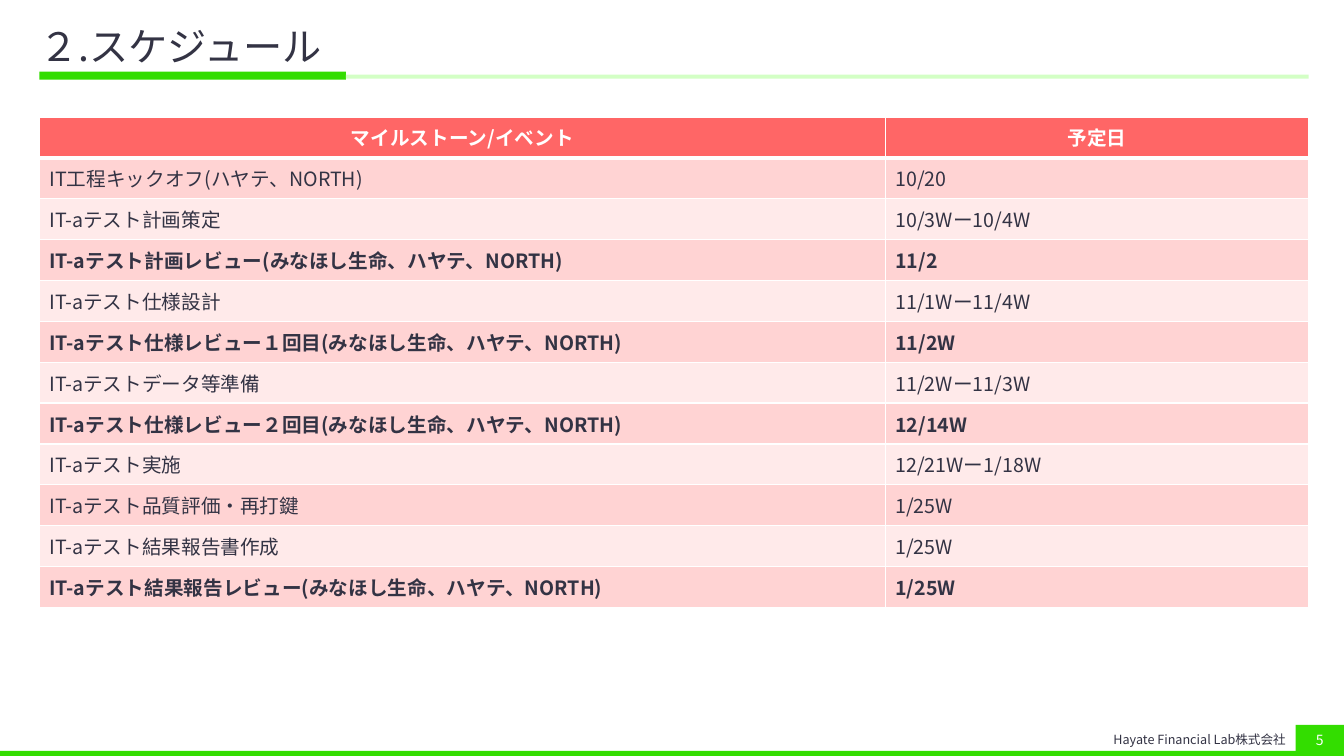
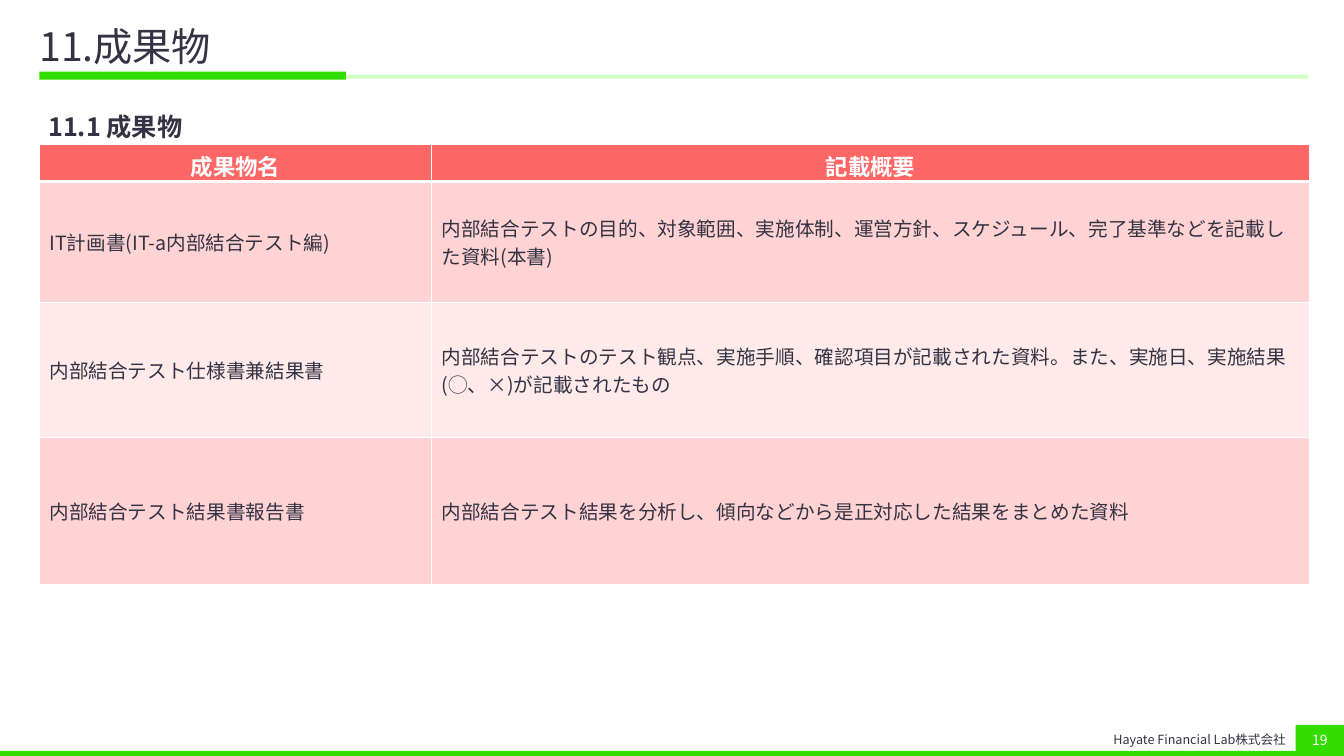
from dataclasses import dataclass
from lxml.etree import SubElement
from pptx import Presentation
from pptx.dml.color import RGBColor
from pptx.enum.shapes import MSO_SHAPE
from pptx.enum.text import MSO_ANCHOR, PP_ALIGN
from pptx.oxml.ns import qn
from pptx.util import Inches, Pt

COLORS = {
    "green": "33DD00",
    "pale_green": "D3FFC5",
    "ink": "333344",
    "white": "FFFFFF",
    "header": "FF6666",
    "odd_row": "FFD3D3",
    "even_row": "FFEAEA",
}
FONT = "Noto Sans CJK JP"
COMPANY = "Hayate Financial Lab株式会社"
REVIEWERS = "(みなほし生命、ハヤテ、NORTH)"
SLIDE_WIDTH, SLIDE_HEIGHT = 13.33, 7.5
MARGIN, CONTENT_WIDTH = 0.39, 12.6


@dataclass
class Box:
    left: float
    top: float
    width: float
    height: float

    def lengths(self):
        return [Inches(n) for n in (self.left, self.top, self.width, self.height)]


def color(name):
    return RGBColor.from_string(COLORS[name])


def write(frame, text, size, ink="ink", bold=False, align=PP_ALIGN.LEFT):
    paragraph = frame.paragraphs[0]
    paragraph.text = text
    paragraph.alignment = align
    font = paragraph.font
    font.size = Pt(size)
    font.bold = bold
    font.color.rgb = color(ink)
    font.name = FONT
    properties = paragraph._p.pPr.find(qn("a:defRPr"))
    SubElement(properties, qn("a:ea"), typeface=FONT)
    return paragraph


def add_band(slide, box, fill):
    band = slide.shapes.add_shape(MSO_SHAPE.RECTANGLE, *box.lengths())
    band.shadow.inherit = False
    band.fill.solid()
    band.fill.fore_color.rgb = color(fill)
    band.line.fill.background()
    return band


def add_text(slide, box, text, size, anchor=MSO_ANCHOR.MIDDLE, **style):
    frame = slide.shapes.add_textbox(*box.lengths()).text_frame
    frame.word_wrap = True
    frame.vertical_anchor = anchor
    return frame, write(frame, text, size, **style)


def add_title(slide, box, title):
    accent_width = 3.04
    add_band(slide, Box(box.left, box.top + 0.51, accent_width, 0.08), "green")
    add_band(slide, Box(box.left + accent_width, box.top + 0.54,
                        box.width - accent_width - 0.01, 0.04), "pale_green")
    frame, paragraph = add_text(slide, box, title, 28)
    frame.margin_left = 0
    frame.margin_right = Inches(0.16)
    paragraph.line_spacing = 0.9


def add_footer(slide, box, number):
    bottom = box.top + box.height
    right = box.left + box.width
    number_width, company_width = 0.48, 1.99
    add_band(slide, Box(box.left, bottom - 0.05, box.width, 0.05), "green")
    number_left = right - number_width
    add_text(slide, Box(number_left - company_width, box.top + 0.01, company_width, 0.27),
             COMPANY, 9, align=PP_ALIGN.RIGHT)
    badge = add_band(slide, Box(number_left, box.top, number_width, box.height), "green")
    badge.text_frame.vertical_anchor = MSO_ANCHOR.MIDDLE
    write(badge.text_frame, str(number), 10, "white", align=PP_ALIGN.CENTER)


def add_page(deck, title, number):
    slide = deck.slides.add_slide(deck.slide_layouts[6])
    add_title(slide, Box(MARGIN, 0.2, CONTENT_WIDTH, 0.56), title)
    add_footer(slide, Box(0, SLIDE_HEIGHT - 0.31, SLIDE_WIDTH, 0.31), number)
    return slide


def set_borders(cell, top=1, bottom=1):
    properties = cell._tc.get_or_add_tcPr()
    for side, points in (("L", 1), ("R", 1), ("T", top), ("B", bottom)):
        border = SubElement(properties, qn(f"a:ln{side}"), w=str(Pt(points)))
        fill = SubElement(border, qn("a:solidFill"))
        SubElement(fill, qn("a:srgbClr"), val=COLORS["white"])


def add_grid(slide, box, header, rows, columns, heights, header_size):
    table = slide.shapes.add_table(len(rows) + 1, len(columns), *box.lengths()).table
    table.horz_banding = False
    for column, width in zip(table.columns, columns):
        column.width = Inches(width)
    for row, height in zip(table.rows, heights):
        row.height = Inches(height)
    for r, texts in enumerate([header] + rows):
        is_header = r == 0
        row_fill = "header" if is_header else "odd_row" if r % 2 else "even_row"
        is_review = REVIEWERS in texts[0]
        for c, text in enumerate(texts):
            cell = table.cell(r, c)
            set_borders(cell, top=3 if r == 1 else 1, bottom=3 if is_header else 1)
            cell.fill.solid()
            cell.fill.fore_color.rgb = color(row_fill)
            cell.vertical_anchor = MSO_ANCHOR.MIDDLE
            if is_header:
                write(cell.text_frame, text, header_size, "white", True, PP_ALIGN.CENTER)
            else:
                write(cell.text_frame, text, 14, bold=is_review)


def add_schedule(deck):
    slide = add_page(deck, "２.スケジュール", 5)
    milestones = [
        ("IT工程キックオフ(ハヤテ、NORTH)", "10/20"),
        ("IT-aテスト計画策定", "10/3Wー10/4W"),
        ("IT-aテスト計画レビュー" + REVIEWERS, "11/2"),
        ("IT-aテスト仕様設計", "11/1Wー11/4W"),
        ("IT-aテスト仕様レビュー１回目" + REVIEWERS, "11/2W"),
        ("IT-aテストデータ等準備", "11/2Wー11/3W"),
        ("IT-aテスト仕様レビュー２回目" + REVIEWERS, "12/14W"),
        ("IT-aテスト実施", "12/21Wー1/18W"),
        ("IT-aテスト品質評価・再打鍵", "1/25W"),
        ("IT-aテスト結果報告書作成", "1/25W"),
        ("IT-aテスト結果報告レビュー" + REVIEWERS, "1/25W"),
    ]
    box = Box(MARGIN, 1.16, CONTENT_WIDTH, 4.87)
    row_count = len(milestones) + 1
    add_grid(slide, box, ("マイルストーン/イベント", "予定日"), milestones,
             (8.39, 4.2), [box.height / row_count] * row_count, 14)


def add_deliverables(deck):
    slide = add_page(deck, "11.成果物", 19)
    deliverables = [
        ("IT計画書(IT-a内部結合テスト編)",
         "内部結合テストの目的、対象範囲、実施体制、運営方針、スケジュール、"
         "完了基準などを記載した資料(本書)"),
        ("内部結合テスト仕様書兼結果書",
         "内部結合テストのテスト観点、実施手順、確認項目が記載された資料。"
         "また、実施日、実施結果(◯、×)が記載されたもの"),
        ("内部結合テスト結果書報告書",
         "内部結合テスト結果を分析し、傾向などから是正対応した結果をまとめた資料"),
    ]
    add_grid(slide, Box(MARGIN, 1.43, CONTENT_WIDTH, 4.37), ("成果物名", "記載概要"),
             deliverables, (3.89, 8.71), (0.37, 1.2, 1.34, 1.46), 16)
    _, heading = add_text(slide, Box(0.38, 0.97, CONTENT_WIDTH, 0.5), "11.1 成果物", 18,
                          anchor=MSO_ANCHOR.TOP, bold=True)
    heading.line_spacing = Pt(28)
    heading.space_before = Pt(10)


def main():
    deck = Presentation()
    deck.slide_width = Inches(SLIDE_WIDTH)
    deck.slide_height = Inches(SLIDE_HEIGHT)
    add_schedule(deck)
    add_deliverables(deck)
    deck.save("out.pptx")


if __name__ == "__main__":
    main()
